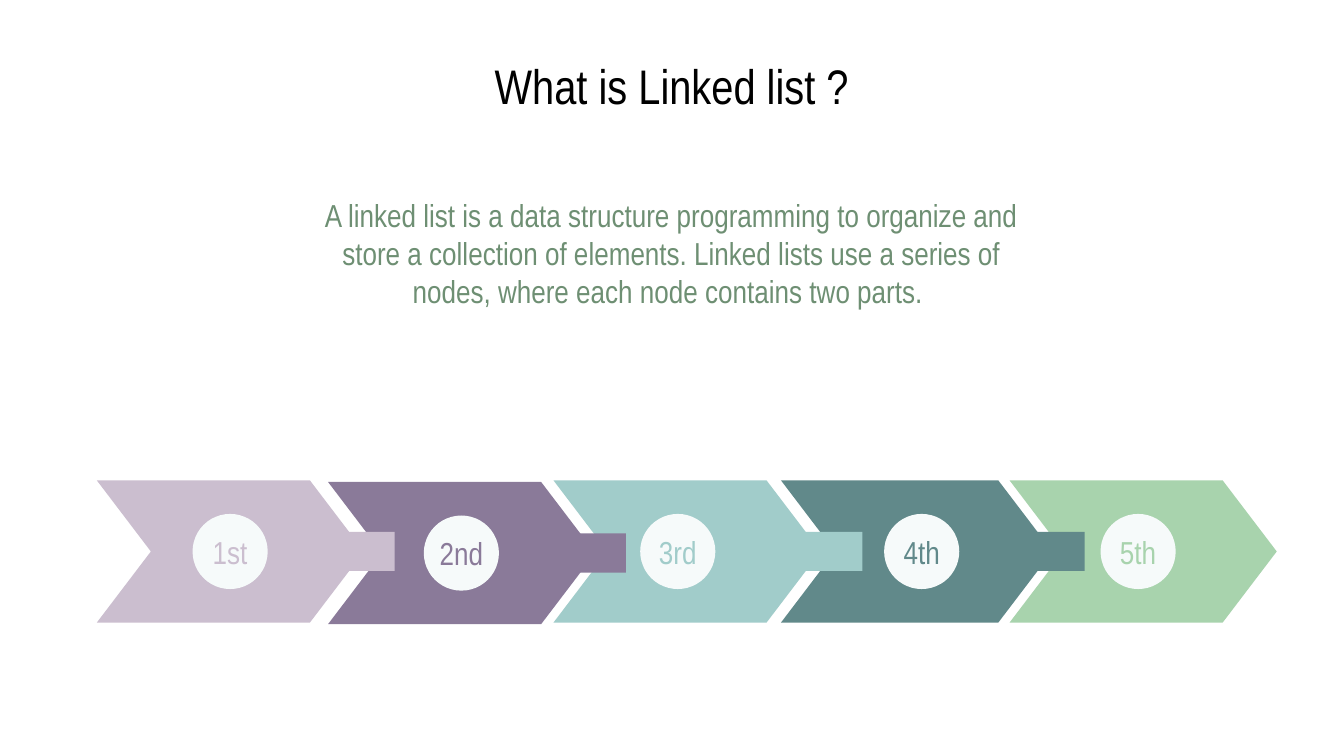
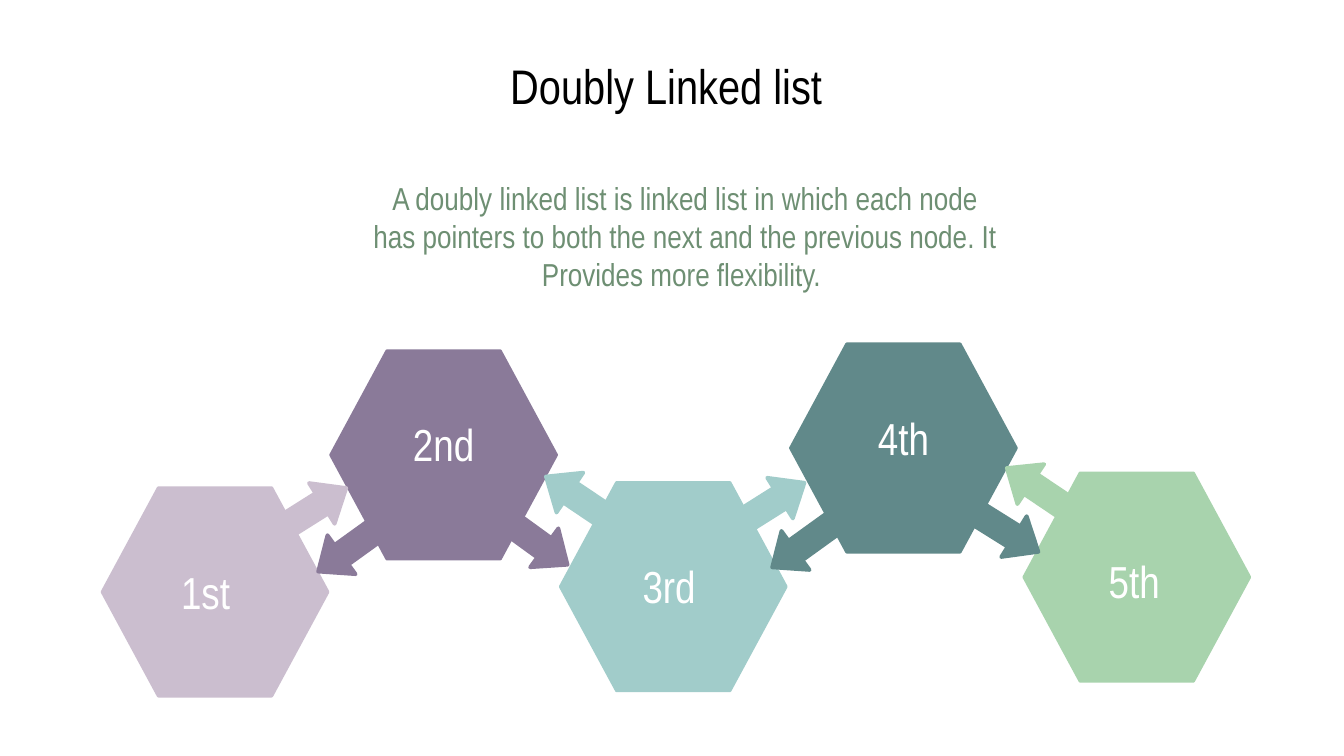
"""Builds two slides that explain linked lists and doubly linked lists."""

from dataclasses import dataclass

from lxml.etree import SubElement
from pptx import Presentation
from pptx.dml.color import RGBColor
from pptx.enum.shapes import MSO_SHAPE
from pptx.enum.text import MSO_ANCHOR, MSO_AUTO_SIZE, PP_ALIGN
from pptx.oxml.ns import qn
from pptx.presentation import Presentation as PresentationType
from pptx.shapes.autoshape import Shape
from pptx.slide import Slide
from pptx.util import Cm, Pt


@dataclass(frozen=True)
class Theme:
    font: str = "Arial Narrow"
    title_color: str = "000000"
    body_color: str = "6E8F73"
    badge_color: str = "F6FAFA"
    label_color: str = "FFFFFF"
    title_size: float = 26
    body_size: float = 17
    badge_size: float = 17
    label_size: float = 24
    hexagon_line: float = 1.5
    arrow_line: float = 2


@dataclass(frozen=True)
class Box:
    left: float
    top: float
    width: float
    height: float


@dataclass(frozen=True)
class Node:
    label: str
    color: str


@dataclass(frozen=True)
class ChainLink:
    node: Node
    left: float
    badge_center: float
    top: float = 9.08
    width: float = 5.05
    bar_left: float = 0
    bar_width: float = 0


@dataclass(frozen=True)
class HexagonNode:
    node: Node
    left: float
    top: float
    label_left: float
    label_top: float


@dataclass(frozen=True)
class Pointer:
    node: Node
    left: float
    top: float
    rotation: float


THEME = Theme()
FIRST = Node("1st", "CBBECF")
SECOND = Node("2nd", "8A7A99")
THIRD = Node("3rd", "A1CCCA")
FOURTH = Node("4th", "61898A")
FIFTH = Node("5th", "A8D3AD")

TITLE_BOX = Box(1.27, 1.14, 22.86, 0.94)
CHEVRON_HEIGHT = 2.69
CHEVRON_POINT = 0.38
BADGE_DIAMETER = 1.42
BAR_HEIGHT = 0.74

CHAIN = (
    ChainLink(FIRST, 1.83, 4.35, bar_left=5.36, bar_width=2.1),
    ChainLink(SECOND, 6.2, 8.72, top=9.11, bar_left=9.93, bar_width=1.9),
    ChainLink(THIRD, 10.46, 12.81, bar_left=14.2, bar_width=2.1),
    ChainLink(FOURTH, 14.76, 17.42, width=5.13, bar_left=18.92, bar_width=1.58),
    ChainLink(FIFTH, 19.08, 21.51),
)

HEXAGONS = (
    HexagonNode(FIRST, 1.93, 9.22, 1.75, 10.44),
    HexagonNode(SECOND, 6.25, 6.63, 6.25, 7.65),
    HexagonNode(THIRD, 10.59, 9.12, 10.51, 10.34),
    HexagonNode(FOURTH, 14.94, 6.5, 14.94, 7.54),
    HexagonNode(FIFTH, 19.35, 8.94, 19.3, 10.24),
)

POINTERS = (
    Pointer(FIRST, 5.16, 9.17, 327.8),
    Pointer(SECOND, 5.87, 9.91, 144.2),
    Pointer(THIRD, 10.19, 8.97, 213.9),
    Pointer(THIRD, 13.82, 9.07, 327.8),
    Pointer(SECOND, 9.37, 9.78, 36),
    Pointer(FIFTH, 18.9, 8.81, 213.9),
    Pointer(FOURTH, 18.24, 9.58, 32),
    Pointer(FOURTH, 14.45, 9.83, 144.2),
)


def place(shape: Shape, box: Box) -> None:
    shape.left, shape.top = Cm(box.left), Cm(box.top)
    shape.width, shape.height = Cm(box.width), Cm(box.height)


def write_text(
    shape: Shape,
    text: str,
    *,
    size: float,
    color: str,
    anchor: MSO_ANCHOR = MSO_ANCHOR.TOP,
    inset: float = 0.25,
    inset_top: float = 0.25,
    wrap: bool = True,
) -> None:
    frame = shape.text_frame
    frame.auto_size = MSO_AUTO_SIZE.NONE
    frame.word_wrap = wrap
    frame.vertical_anchor = anchor
    frame.margin_left = frame.margin_right = frame.margin_bottom = Cm(inset)
    frame.margin_top = Cm(inset_top)
    paragraph = frame.paragraphs[0]
    paragraph.alignment = PP_ALIGN.CENTER
    paragraph.space_before = Pt(0)
    properties = paragraph._p.get_or_add_pPr()
    properties.set("marL", "0")
    properties.set("indent", "0")
    SubElement(properties, qn("a:buNone"))
    run = paragraph.add_run()
    run.text = text
    run.font.name = THEME.font
    run.font.size = Pt(size)
    run.font.color.rgb = RGBColor.from_string(color)


def add_filled_shape(
    slide: Slide,
    kind: MSO_SHAPE,
    box: Box,
    color: str,
    *,
    line_width: float = 0,
    adjustments: tuple[float, ...] = (),
    rotation: float = 0,
) -> Shape:
    shape = slide.shapes.add_shape(
        kind, Cm(box.left), Cm(box.top), Cm(box.width), Cm(box.height)
    )
    shape.shadow.inherit = False
    shape.rotation = rotation
    shape.fill.solid()
    shape.fill.fore_color.rgb = RGBColor.from_string(color)
    if line_width:
        shape.line.color.rgb = RGBColor.from_string(color)
        shape.line.width = Pt(line_width)
    else:
        shape.line.fill.background()
    for index, value in enumerate(adjustments):
        shape.adjustments[index] = value
    return shape


def add_text_slide(
    presentation: PresentationType, title: str, body: str, body_box: Box
) -> Slide:
    slide = presentation.slides.add_slide(presentation.slide_layouts[1])
    title_shape, body_shape = slide.shapes.title, slide.placeholders[1]
    place(title_shape, TITLE_BOX)
    place(body_shape, body_box)
    write_text(
        title_shape,
        title,
        size=THEME.title_size,
        color=THEME.title_color,
        anchor=MSO_ANCHOR.MIDDLE,
    )
    write_text(body_shape, body, size=THEME.body_size, color=THEME.body_color)
    return slide


def add_chain_link(slide: Slide, link: ChainLink) -> None:
    color = link.node.color
    middle = link.top + CHEVRON_HEIGHT / 2
    add_filled_shape(
        slide,
        MSO_SHAPE.CHEVRON,
        Box(link.left, link.top, link.width, CHEVRON_HEIGHT),
        color,
        adjustments=(CHEVRON_POINT,),
    )
    if link.bar_width:
        bar_box = Box(link.bar_left, middle - BAR_HEIGHT / 2, link.bar_width, BAR_HEIGHT)
        add_filled_shape(slide, MSO_SHAPE.RECTANGLE, bar_box, color)
    radius = BADGE_DIAMETER / 2
    badge_box = Box(
        link.badge_center - radius, middle - radius, BADGE_DIAMETER, BADGE_DIAMETER
    )
    badge = add_filled_shape(slide, MSO_SHAPE.OVAL, badge_box, THEME.badge_color)
    write_text(
        badge,
        link.node.label,
        size=THEME.badge_size,
        color=color,
        anchor=MSO_ANCHOR.MIDDLE,
        inset=0,
        inset_top=0,
        wrap=False,
    )


def add_hexagon(slide: Slide, hexagon: HexagonNode) -> None:
    add_filled_shape(
        slide,
        MSO_SHAPE.HEXAGON,
        Box(hexagon.left, hexagon.top, 4.27, 3.94),
        hexagon.node.color,
        line_width=THEME.hexagon_line,
        adjustments=(0.27,),
    )
    label = slide.shapes.add_textbox(
        Cm(hexagon.label_left), Cm(hexagon.label_top), Cm(4.27), Cm(1.07)
    )
    write_text(
        label,
        hexagon.node.label,
        size=THEME.label_size,
        color=THEME.label_color,
        inset=0,
        inset_top=0.23,
    )


def add_pointer(slide: Slide, pointer: Pointer) -> None:
    add_filled_shape(
        slide,
        MSO_SHAPE.RIGHT_ARROW,
        Box(pointer.left, pointer.top, 1.5, 0.91),
        pointer.node.color,
        line_width=THEME.arrow_line,
        adjustments=(0.5, 0.6),
        rotation=pointer.rotation,
    )


def main() -> None:
    presentation = Presentation()
    presentation.slide_width, presentation.slide_height = Cm(25.4), Cm(14.29)

    linked_slide = add_text_slide(
        presentation,
        "What is Linked list ?",
        "A linked list is a data structure programming to organize and store a "
        "collection of elements. Linked lists use a series of nodes, where each "
        "node contains two parts. ",
        Box(5.87, 3.45, 13.64, 3.45),
    )
    for link in reversed(CHAIN):
        add_chain_link(linked_slide, link)

    doubly_slide = add_text_slide(
        presentation,
        "Doubly Linked list ",
        "A doubly linked list is linked list in which each node has pointers to "
        "both the next and the previous node. It Provides more flexibility. ",
        Box(6.78, 3.12, 12.34, 3.12),
    )
    for hexagon in HEXAGONS:
        add_hexagon(doubly_slide, hexagon)
    for pointer in POINTERS:
        add_pointer(doubly_slide, pointer)

    presentation.save("out.pptx")


if __name__ == "__main__":
    main()
